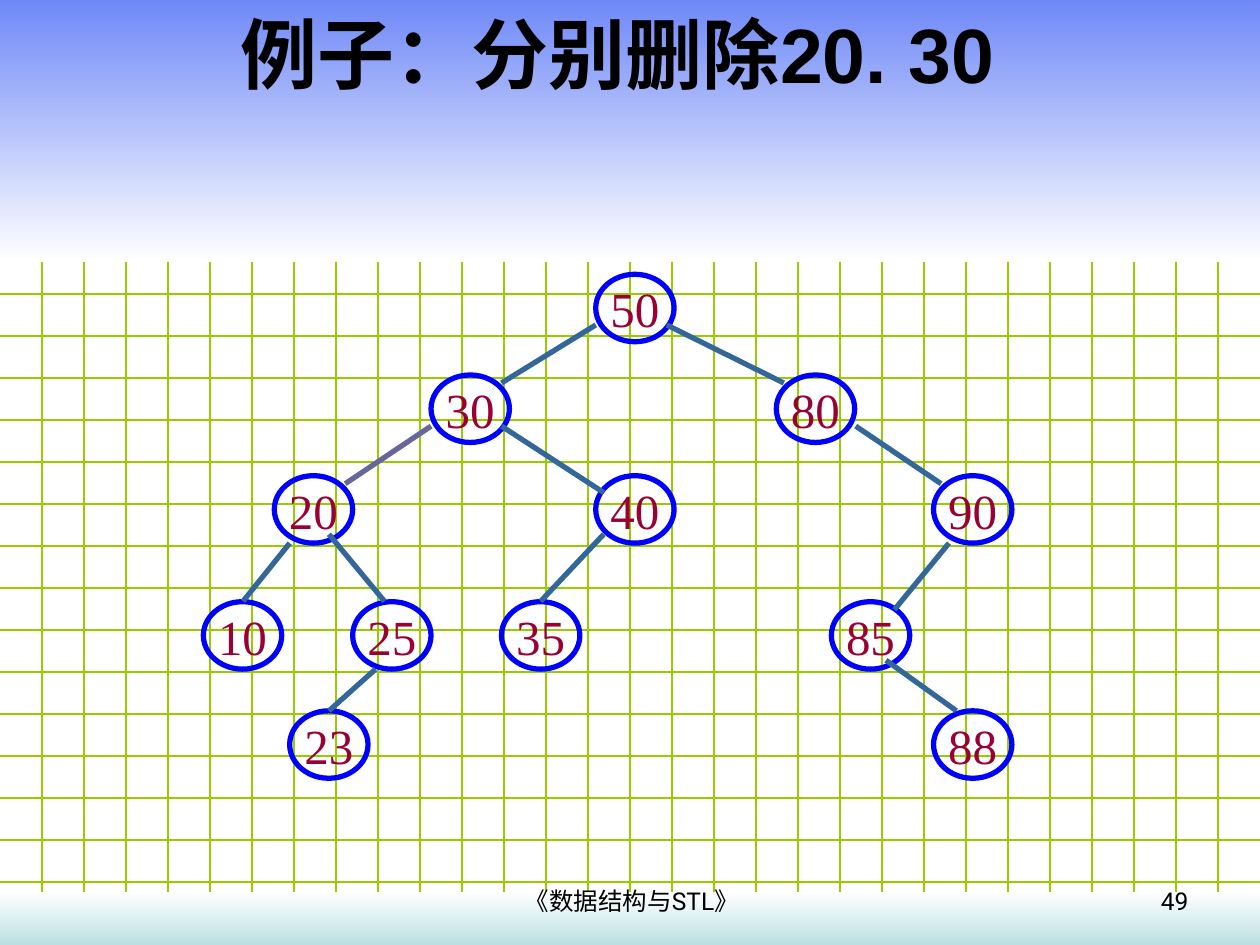
from lxml import etree
from pptx import Presentation
from pptx.dml.color import RGBColor
from pptx.enum.shapes import MSO_CONNECTOR as CONN, MSO_SHAPE as SHAPE
from pptx.enum.text import MSO_ANCHOR as ANCHOR, PP_ALIGN as ALIGN
from pptx.oxml.ns import qn
from pptx.util import Cm, Pt

WIDTH, HEIGHT = 25.4, 19.05
GRID_STEP = WIDTH / 30
NODE_W, NODE_H = 1.58, 1.36
LEVEL_TOPS = [5.53, 7.56, 9.59, 12.13, 14.33]
EDGE_COLOR = "336699"

# key: (left, level)
NODES = {
    50: (12.01, 0),
    30: (8.69, 1), 80: (15.65, 1),
    20: (5.53, 2), 40: (12.01, 2), 90: (18.82, 2),
    10: (4.1, 3), 25: (7.11, 3), 35: (10.11, 3), 85: (16.76, 3),
    23: (5.84, 4), 88: (18.82, 4),
}

# (parent, child): (x1, y1, x2, y2)
EDGES = {
    (50, 30): (12.01, 6.55, 10.11, 7.72),
    (50, 80): (13.44, 6.55, 15.8, 7.72),
    (30, 20): (8.69, 8.59, 6.96, 9.75),
    (30, 40): (10.11, 8.59, 12.17, 9.93),
    (80, 90): (17.25, 8.59, 18.97, 9.75),
    (20, 10): (5.84, 10.95, 4.9, 12.12),
    (20, 25): (6.63, 10.77, 7.75, 12.12),
    (40, 35): (12.17, 10.77, 10.9, 12.12),
    (90, 85): (19.13, 10.95, 18.03, 12.29),
    (25, 23): (7.57, 13.49, 6.63, 14.33),
    (85, 88): (17.86, 13.31, 19.28, 14.33),
}
EDGE_COLORS = {(30, 20): "666699"}


def rgb(color):
    return RGBColor.from_string(color)


def set_text(s, text, align, anchor, wrap, color, **font):
    tf = s.text_frame
    tf.word_wrap = wrap
    tf.vertical_anchor = anchor
    p = tf.paragraphs[0]
    p.alignment = align
    r = p.add_run()
    r.text = text
    for name, value in font.items():
        setattr(r.font, name, value)
    r.font.color.rgb = rgb(color)


def add_label(slide, box, text, align, anchor=ANCHOR.TOP, **font):
    s = slide.shapes.add_textbox(*map(Cm, box))
    set_text(s, text, align, anchor, True, "000000", **font)


def add_line(slide, x1, y1, x2, y2, color, weight):
    s = slide.shapes.add_connector(CONN.STRAIGHT, *map(Cm, (x1, y1, x2, y2)))
    s.line.color.rgb = rgb(color)
    s.line.width = Pt(weight)
    etree.SubElement(s._element.spPr, qn("a:effectLst"))


def add_grid(slide, first_row, last_row):
    for row in range(first_row, last_row + 1):
        y = row * GRID_STEP
        add_line(slide, 0, y, WIDTH, y, "99CC00", 0.75)
    for col in range(1, 30):
        x = col * GRID_STEP
        add_line(slide, x, 0, x, HEIGHT, "99CC00", 0.75)


def add_band(slide, top, height, *colors):
    """Full-width rectangle with a gradient from top to bottom."""
    s = slide.shapes.add_shape(SHAPE.RECTANGLE, *map(Cm, (0, top, WIDTH, height)))
    s.shadow.inherit = False
    s.line.fill.background()
    s.fill.gradient()
    s.fill.gradient_angle = 270
    for stop, color in zip(s.fill.gradient_stops, colors):
        stop.color.rgb = rgb(color)


def add_node(slide, key, left, level):
    box = (left, LEVEL_TOPS[level], NODE_W, NODE_H)
    s = slide.shapes.add_shape(SHAPE.OVAL, *map(Cm, box))
    s.shadow.inherit = False
    s.fill.background()
    s.line.color.rgb = rgb("0000FF")
    s.line.width = Pt(3)
    set_text(s, str(key), ALIGN.CENTER, ANCHOR.MIDDLE, False, "990033",
             name="Times New Roman", size=Pt(28))


def main():
    prs = Presentation()
    prs.slide_width, prs.slide_height = Cm(WIDTH), Cm(HEIGHT)
    slide = prs.slides.add_slide(prs.slide_layouts[6])

    add_grid(slide, 7, 21)
    add_band(slide, 0, 5.28, "6F89F7", "FFFFFF")
    add_band(slide, 17.98, 1.07, "FFFFFF", "BBE0E3")

    add_label(slide, (0, 0, 24.9, 2.13), "例子：分别删除20. 30", ALIGN.CENTER,
              ANCHOR.MIDDLE, name="Arial", size=Pt(44), bold=True)

    for key, (left, level) in NODES.items():
        add_node(slide, key, left, level)
    for pair, ends in EDGES.items():
        add_line(slide, *ends, EDGE_COLORS.get(pair, EDGE_COLOR), 3)

    footer_font = {"name": "Roboto", "size": Pt(14)}
    add_label(slide, (8.71, 17.73, 8.05, 0.91), "《数据结构与STL》",
              ALIGN.CENTER, **footer_font)
    add_label(slide, (18.29, 17.73, 5.92, 0.91), "49", ALIGN.RIGHT, **footer_font)

    prs.save("out.pptx")


if __name__ == "__main__":
    main()
